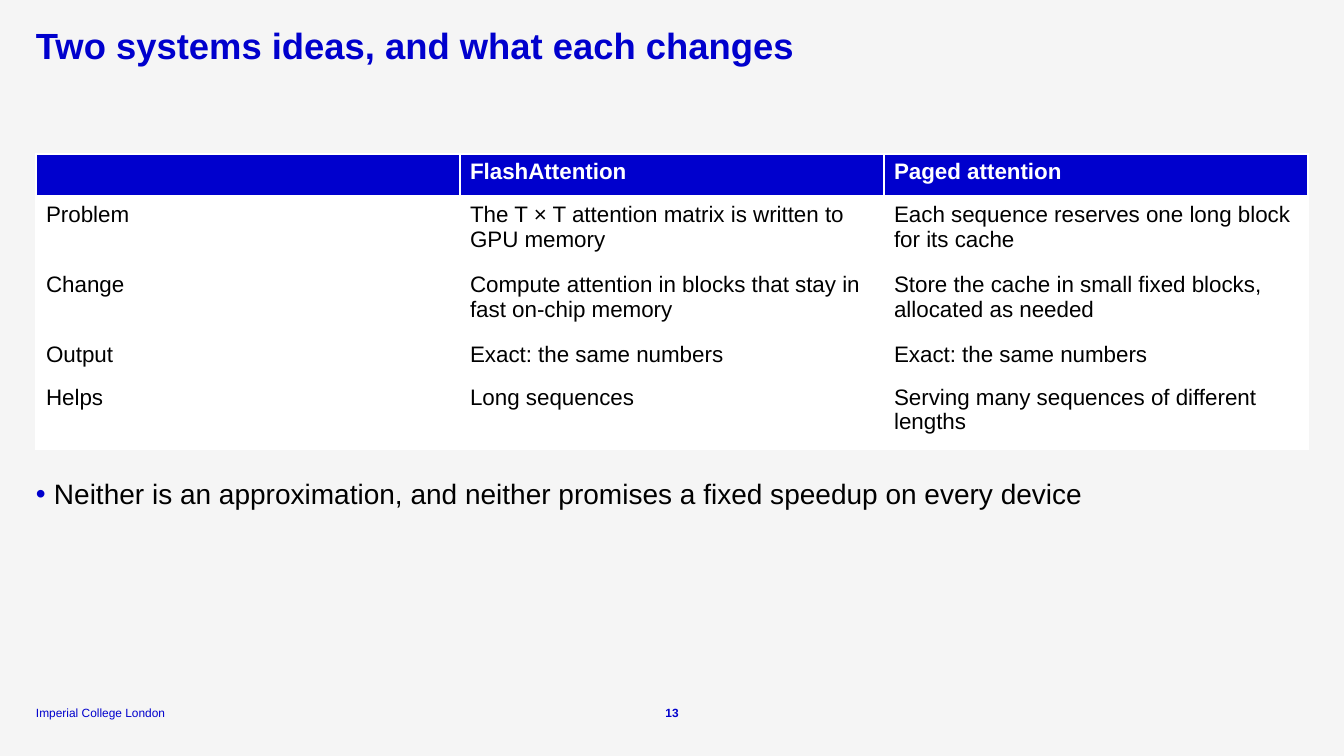
from lxml import etree
from pptx import Presentation
from pptx.dml.color import RGBColor
from pptx.enum.text import MSO_ANCHOR, PP_ALIGN
from pptx.oxml.ns import qn
from pptx.util import Pt

TOP, BOTTOM = MSO_ANCHOR.TOP, MSO_ANCHOR.BOTTOM
LEFT, CENTER = PP_ALIGN.LEFT, PP_ALIGN.CENTER
PX = 914400 / 100.8
THEME = {
    "font": "Arial", "blue": "0000CD", "black": "000000", "white": "FFFFFF",
    "back": "F5F5F5", "title": 26, "body": 20, "cell": 16, "footer": 8.5,
}


def write(p, text, size, color, bold=False):
    r = p.add_run()
    r.text = text
    font = {"name": THEME["font"], "size": Pt(THEME[size]), "bold": bold}
    for name, value in font.items():
        setattr(r.font, name, value)
    r.font.color.rgb = RGBColor.from_string(THEME[color])


def add_text(box, text, size, color, bold=False, anchor=TOP, align=LEFT, spacing=1.0):
    tf = s.shapes.add_textbox(*[round(v * PX) for v in box]).text_frame
    frame = {"word_wrap": True, "vertical_anchor": anchor, "margin_left": 0,
             "margin_top": 0, "margin_right": 0, "margin_bottom": 0}
    for name, value in frame.items():
        setattr(tf, name, value)
    p = tf.paragraphs[0]
    p.alignment, p.line_spacing = align, spacing
    write(p, text, size, color, bold)
    return p


# Slide and background
prs = Presentation()
prs.slide_width, prs.slide_height = round(1344 * PX), round(756 * PX)
s = prs.slides.add_slide(prs.slide_layouts[6])
s.background.fill.solid()
s.background.fill.fore_color.rgb = RGBColor.from_string(THEME["back"])

# Footer and title
add_text((36, 705, 156, 15), "Imperial College London", "footer", "blue", anchor=BOTTOM)
add_text((36, 28, 1272, 41), "Two systems ideas, and what each changes", "title", "blue",
         bold=True, spacing=0.9)

# Bulleted takeaway
p = add_text((36, 475, 1272, 49),
             "Neither is an approximation, and neither promises a fixed speedup on every device",
             "body", "black", spacing=1.05)
pPr = p._p.get_or_add_pPr()
pPr.set("marL", str(round(18 * PX)))
pPr.set("indent", str(round(-18 * PX)))
bullet_color = etree.SubElement(pPr, qn("a:buClr"))
etree.SubElement(bullet_color, qn("a:srgbClr"), val=THEME["blue"])
etree.SubElement(pPr, qn("a:buFont"), typeface=THEME["font"])
etree.SubElement(pPr, qn("a:buChar"), char="•")

# Page number
add_text((654, 705, 36, 15), "13", "footer", "blue", bold=True, anchor=BOTTOM, align=CENTER)

# Comparison table
rows = [
    ("", "FlashAttention", "Paged attention"),
    ("Problem", "The T × T attention matrix is written to GPU memory",
     "Each sequence reserves one long block for its cache"),
    ("Change", "Compute attention in blocks that stay in fast on-chip memory",
     "Store the cache in small fixed blocks, allocated as needed"),
    ("Output", "Exact: the same numbers", "Exact: the same numbers"),
    ("Helps", "Long sequences", "Serving many sequences of different lengths"),
]
heights = [43, 70, 70, 43, 70]
table = s.shapes.add_table(len(rows), 3, *[round(v * PX) for v in (36, 154, 1272, 296)]).table
for column in table.columns:
    column.width = round(424 * PX)
for i, (texts, height) in enumerate(zip(rows, heights)):
    table.rows[i].height = round(height * PX)
    header = i == 0
    for j, text in enumerate(texts):
        cell = table.cell(i, j)
        cell.fill.solid()
        cell.fill.fore_color.rgb = RGBColor.from_string(THEME["blue" if header else "white"])
        if text:
            write(cell.text_frame.paragraphs[0], text, "cell",
                  "white" if header else "black", header)
        # White rules, heavier under the header
        tcPr = cell._tc.get_or_add_tcPr()
        for k, side in enumerate("LRTB"):
            heavy = (i, side) in ((0, "B"), (1, "T"))
            ln = etree.Element(qn("a:ln" + side), w=str(Pt(3 if heavy else 1)))
            fill = etree.SubElement(ln, qn("a:solidFill"))
            etree.SubElement(fill, qn("a:srgbClr"), val=THEME["white"])
            tcPr.insert(k, ln)

prs.save("out.pptx")
